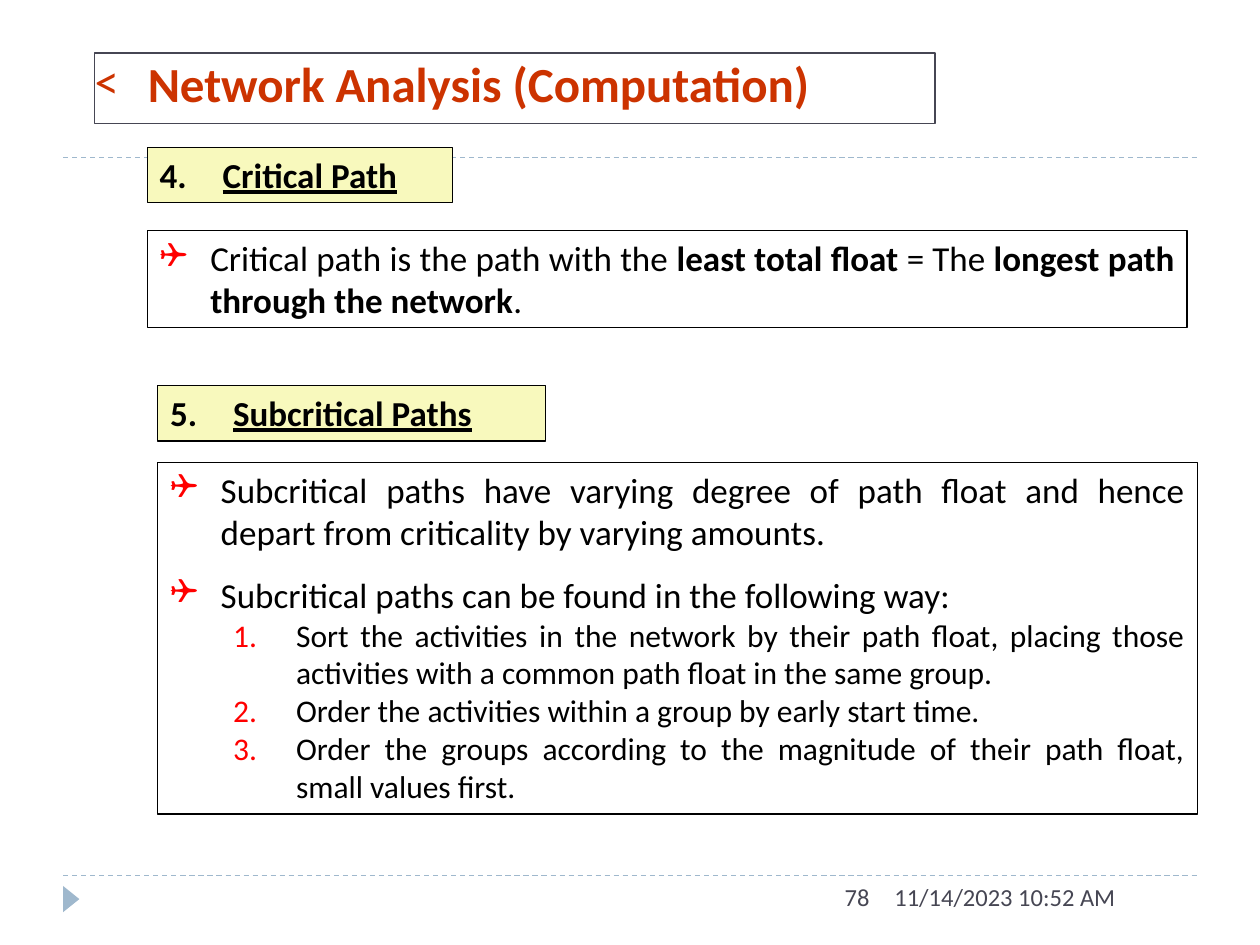
from lxml import etree
from pptx import Presentation
from pptx import util as u
from pptx.dml.color import RGBColor
from pptx.enum import dml, shapes, text
from pptx.oxml.ns import qn

COLORS = {
    "white": "FFFFFF", "black": "000000", "slate": "464653", "mist": "9FB8CD",
    "title": "CC3300", "marker": "FF0000", "heading": "F8F9BD",
}
FONT = "Calibri"


def color(name):
    return RGBColor.from_string(COLORS[name])


class SlideBuilder:
    """Holds the shared style and the slide being filled."""

    def __init__(self, slide):
        self.slide = slide

    def dashed_rule(self, y):
        rule = self.slide.shapes.add_connector(
            shapes.MSO_CONNECTOR.STRAIGHT, u.Cm(1.27), u.Cm(y), u.Cm(24.13), u.Cm(y))
        rule.line.color.rgb = color("mist")
        rule.line.width = u.Pt(0.75)
        rule.line.dash_style = dml.MSO_LINE.DASH
        etree.SubElement(rule._element.spPr, qn("a:effectLst"))

    def shape(self, kind, place, fill, line=None):
        shape = self.slide.shapes.add_shape(kind, *map(u.Cm, place))
        shape.shadow.inherit = False
        shape.fill.solid()
        shape.fill.fore_color.rgb = color(fill)
        if line:
            shape.line.color.rgb = color(line)
            shape.line.width = u.Pt(0.75)
        else:
            shape.line.fill.background()
        return shape

    def corner_arrow(self, place):
        self.shape(shapes.MSO_SHAPE.ISOSCELES_TRIANGLE, place, "mist").rotation = 90

    def box(self, place, fill="white", line="black", grow=True):
        """Add a framed rectangle and return its text frame."""
        frame = self.shape(shapes.MSO_SHAPE.RECTANGLE, place, fill, line).text_frame
        frame.word_wrap = True
        frame.vertical_anchor = text.MSO_ANCHOR.TOP
        if grow:
            frame.auto_size = text.MSO_AUTO_SIZE.SHAPE_TO_FIT_TEXT
        return frame

    def footer(self, place, words, align):
        frame = self.slide.shapes.add_textbox(*map(u.Cm, place)).text_frame
        frame.word_wrap = True
        paragraph = frame.paragraphs[0]
        paragraph.text = words
        paragraph.alignment = align
        self.style(paragraph, 14, "slate")

    def style(self, paragraph, size, ink="black"):
        paragraph.font.name = FONT
        paragraph.font.size = u.Pt(size)
        paragraph.font.color.rgb = color(ink)

    def item(self, frame, runs, size, margin, hanging, marker, ink="black",
             char=None, char_font=FONT, start=1, level=0, before=0,
             align=text.PP_ALIGN.JUSTIFY):
        """Add a marked paragraph; runs are (words, bold) pairs, no char means numbering."""
        paragraph = frame.paragraphs[0]
        if paragraph.runs:
            paragraph = frame.add_paragraph()
        paragraph.level = level
        paragraph.alignment = align
        properties = paragraph._p.get_or_add_pPr()
        properties.set("marL", str(u.Cm(margin)))
        properties.set("indent", str(-u.Cm(hanging)))
        bullet_color = etree.SubElement(properties, qn("a:buClr"))
        etree.SubElement(bullet_color, qn("a:srgbClr"), val=COLORS[marker])
        etree.SubElement(properties, qn("a:buFont"), typeface=char_font)
        if char:
            etree.SubElement(properties, qn("a:buChar"), char=char)
        else:
            number = etree.SubElement(properties, qn("a:buAutoNum"), type="arabicPeriod")
            if start > 1:
                number.set("startAt", str(start))
        if before:
            paragraph.space_before = u.Pt(before)
        self.style(paragraph, size, ink)
        for words, bold in runs:
            run = paragraph.add_run()
            run.text = words
            run.font.bold = bold
        return paragraph

    def title(self, place, words):
        frame = self.box(place, line="slate", grow=False)
        frame.margin_left = frame.margin_right = frame.margin_top = frame.margin_bottom = 0
        self.item(frame, [(words, True)], 28, 1.07, 1.07, "title", ink="title",
                  char="<", align=text.PP_ALIGN.LEFT)

    def heading(self, place, number, words):
        frame = self.box(place, fill="heading")
        paragraph = self.item(frame, [(words, True)], 20, 1.27, 1.27, "black", start=number)
        paragraph.runs[0].font.underline = True

    def point(self, frame, *runs, before=0):
        self.item(frame, runs, 20, 1.02, 1.02, "marker", char="❑",
                  char_font="Wingdings", level=1, before=before)

    def step(self, frame, words):
        self.item(frame, [(words, False)], 18, 2.54, 1.27, "marker", level=2)


def main():
    presentation = Presentation()
    presentation.slide_width = u.Cm(25.4)
    presentation.slide_height = u.Cm(19.05)
    builder = SlideBuilder(presentation.slides.add_slide(presentation.slide_layouts[6]))

    for y in (17.65, 3.18):
        builder.dashed_rule(y)
    builder.corner_arrow((1.17, 17.96, 0.53, 0.33))
    builder.footer((17.78, 17.65, 6.35, 1.02), "11/14/2023 10:52 AM", text.PP_ALIGN.LEFT)
    builder.footer((8.05, 17.65, 9.73, 1.02), "78", text.PP_ALIGN.RIGHT)
    builder.title((1.91, 1.07, 16.94, 1.42), "Network Analysis (Computation)")

    critical = builder.box((2.97, 4.65, 20.96, 1.96))
    builder.point(critical,
                  ("Critical path is the path with the ", False),
                  ("least total float ", True),
                  ("= The ", False),
                  ("longest path through the network", True),
                  (".", False))
    builder.heading((2.97, 2.97, 6.15, 1.12), 4, "Critical Path")
    builder.heading((3.18, 7.77, 7.82, 1.12), 5, "Subcritical Paths")

    subcritical = builder.box((3.18, 9.32, 20.96, 7.09))
    builder.point(subcritical, (
        "Subcritical paths have varying degree of path float and hence "
        "depart from criticality by varying amounts.", False))
    builder.point(subcritical, (
        "Subcritical paths can be found in the following way:", False), before=12)
    for words in (
        "Sort the activities in the network by their path float, placing those "
        "activities with a common path float in the same group.",
        "Order the activities within a group by early start time.",
        "Order the groups according to the magnitude of their path float, "
        "small values first.",
    ):
        builder.step(subcritical, words)

    presentation.save("out.pptx")


if __name__ == "__main__":
    main()
